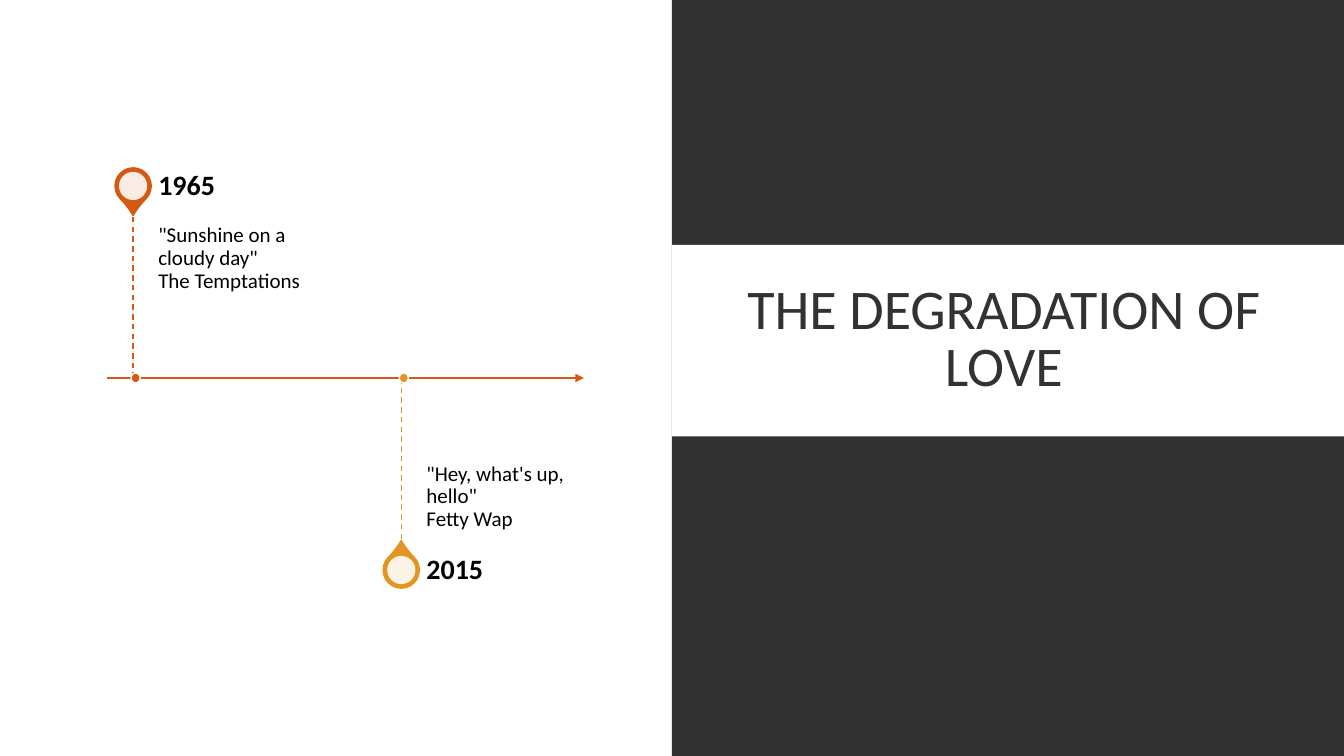
"""Build a timeline slide on the degradation of love, with a title band."""
import pptx
import pptx.util
import pptx.dml.color
import pptx.enum.dml
import pptx.enum.shapes
import pptx.enum.text
import pptx.oxml
import pptx.oxml.ns

Inches, Pt = pptx.util.Inches, pptx.util.Pt
RGB = pptx.dml.color.RGBColor.from_string
SHAPES = pptx.enum.shapes.MSO_SHAPE
ANCHOR = pptx.enum.text.MSO_ANCHOR
ALIGN = pptx.enum.text.PP_ALIGN

theme = {
    "font": "Calibri", "title": 40, "year": 20, "quote": 15,
    "paper": "FFFFFF", "dark": "323232", "text": "000000",
    "first": "D55813", "second": "E29621",
}
WIDTH, HEIGHT = 13.33, 7.5
HALF, MIDDLE = WIDTH / 2, HEIGHT / 2
AXIS_START, AXIS_END = 1.06, 5.79
FIRST_STEM, COLUMN = 1.32, 2.66
STEM, YEAR_HEIGHT, CAPTION_WIDTH, CAPTION_GAP = 1.62, 0.57, 1.56, 0.25

deck = pptx.Presentation()
deck.slide_width, deck.slide_height = Inches(WIDTH), Inches(HEIGHT)
slide = deck.slides.add_slide(deck.slide_layouts[6])


def add_part(kind, box, fill, line=None):
    """Add a flat shape, outlined only when a line colour is given."""
    part = slide.shapes.add_shape(kind, *map(Inches, box))
    part.shadow.inherit = False
    part.fill.solid()
    part.fill.fore_color.rgb = RGB(fill)
    if line:
        part.line.color.rgb = RGB(line)
        part.line.width = Pt(1)
    else:
        part.line.fill.background()
    return part


def add_words(words, box, insets, anchor, size, spacing, color, bold=False, align=ALIGN.LEFT):
    """Add a wrapped one-paragraph text box."""
    frame = slide.shapes.add_textbox(*map(Inches, box)).text_frame
    frame.word_wrap = True
    frame.vertical_anchor = anchor
    frame.margin_left, frame.margin_top, frame.margin_right, frame.margin_bottom = map(Inches, insets)
    paragraph = frame.paragraphs[0]
    paragraph.text = words
    paragraph.alignment, paragraph.line_spacing = align, spacing
    for run in paragraph.runs:
        run.font.name, run.font.size, run.font.bold = theme["font"], Pt(size), bold
        run.font.color.rgb = RGB(color)


for box, fill in [
    ((0, 0, WIDTH, HEIGHT), theme["paper"]),
    ((HALF, 0, HALF, HEIGHT), theme["dark"]),
    ((HALF, 2.43, HALF, 1.9), theme["paper"]),
]:
    add_part(SHAPES.RECTANGLE, box, fill)
add_words("THE DEGRADATION OF LOVE", (7.06, 2.56, 5.79, 1.65), (0.1, 0.05, 0.1, 0.05),
          ANCHOR.MIDDLE, theme["title"], 0.85, theme["dark"], align=ALIGN.CENTER)

events = [
    ("1965", "\"Sunshine on a cloudy day\"\vThe Temptations", theme["first"], -1),
    ("2015", "\"Hey, what's up, hello\" \vFetty Wap", theme["second"], 1),
]
stems = [FIRST_STEM + COLUMN * order for order in range(len(events))]

rules = [((AXIS_START, MIDDLE), (AXIS_END, MIDDLE), theme["first"], 1.5, True)]
for stem, (year, quote, color, side) in zip(stems, events):
    rules.append(((stem, MIDDLE), (stem, MIDDLE + side * STEM), color, 1, False))
for start, end, color, weight, is_axis in rules:
    rule = slide.shapes.add_connector(pptx.enum.shapes.MSO_CONNECTOR.STRAIGHT, *map(Inches, start + end))
    rule.line.color.rgb = RGB(color)
    rule.line.width = Pt(weight)
    if is_axis:
        arrow = pptx.oxml.parse_xml(f'<a:tailEnd {pptx.oxml.ns.nsdecls("a")} type="triangle"/>')
        rule.line._get_or_add_ln().append(arrow)
    else:
        rule.line.dash_style = pptx.enum.dml.MSO_LINE.DASH
    rule._element.spPr.append(pptx.oxml.parse_xml(f'<a:effectLst {pptx.oxml.ns.nsdecls("a")}/>'))

for stem, (year, quote, color, side) in zip(stems, events):
    above = side < 0
    center = MIDDLE + side * (STEM + YEAR_HEIGHT / 2)

    pin = add_part(SHAPES.TEAR, (stem - 0.18, center - 0.18, 0.36, 0.36), color, color)
    pin.adjustments[0] = 1.15
    pin.rotation = 135 if above else 315

    hole = add_part(SHAPES.OVAL, (stem - 0.14, center - 0.14, 0.28, 0.28), theme["paper"])
    tint = hole._element.spPr.find(".//" + pptx.oxml.ns.qn("a:srgbClr"))
    tint.append(pptx.oxml.parse_xml(f'<a:alpha {pptx.oxml.ns.nsdecls("a")} val="89000"/>'))

    left = stem + CAPTION_GAP
    add_words(quote, (left, MIDDLE - STEM if above else MIDDLE, CAPTION_WIDTH, STEM),
              (0, 0.1, 0, 0.16) if above else (0, 0.16, 0.1, 0.1),
              ANCHOR.TOP if above else ANCHOR.BOTTOM, theme["quote"], 0.9, theme["text"])
    add_words(year, (left, center - YEAR_HEIGHT / 2, CAPTION_WIDTH, YEAR_HEIGHT), (0, 0, 0.14, 0),
              ANCHOR.MIDDLE, theme["year"], 0.9, theme["text"], bold=True)
    add_part(SHAPES.OVAL, (stem - 0.02, MIDDLE - 0.05, 0.09, 0.1), color, theme["paper"])

deck.save("out.pptx")
